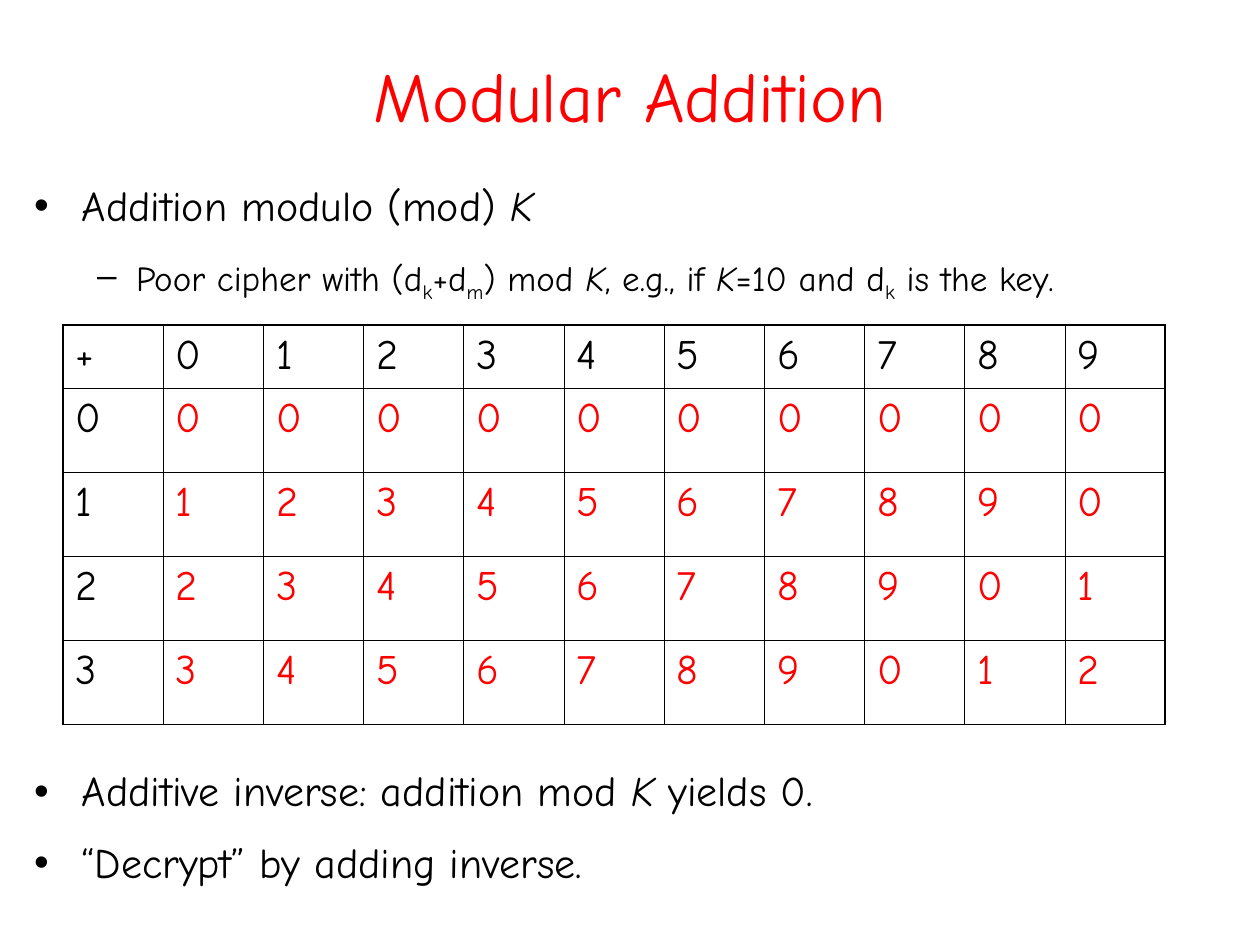
from lxml.etree import SubElement
from pptx import Presentation
from pptx.dml.color import RGBColor
from pptx.enum.text import MSO_AUTO_SIZE, MSO_ANCHOR, PP_ALIGN
from pptx.oxml.ns import qn
from pptx.util import Inches, Pt

BLACK = RGBColor(0, 0, 0)
RED = RGBColor(0xFF, 0, 0)
FONT = "Comic Neue"
MODULUS = 10
KEYS = range(4)
OUTER_LINE, INNER_LINE = Pt(1.08), Pt(0.45)
TABLE_GAP = 266  # points kept free for the table between the bullets
INDENTS = {0: (0.38, -0.38), 1: (0.81, -0.31)}
SIZES = {0: 24, 1: 20}

ITALIC = {"italic": True}
SUB = {"subscript": True}
INTRO = [("Addition modulo (mod) ", {}), ("K", ITALIC)]
CIPHER = [
    ("Poor cipher with (d", {}), ("k", SUB), ("+d", {}), ("m", SUB),
    (") mod ", {}), ("K", ITALIC), (", e.g., if ", {}), ("K", ITALIC),
    ("=10 and d", {}), ("k", SUB), (" is the key.", {}),
]
INVERSE = [("Additive inverse: addition mod ", {}), ("K", ITALIC), (" yields 0.", {})]
DECRYPT = [("“Decrypt” by adding inverse.", {})]


def write(paragraph, text, size=24, color=BLACK, italic=False, subscript=False):
    run = paragraph.add_run()
    run.text = text
    run.font.name = FONT
    run.font.size = Pt(size)
    run.font.color.rgb = color
    run.font.italic = italic
    if subscript:
        run.font._element.set("baseline", "-25000")


def space(paragraph, before=12, after=3):
    paragraph.space_before = Pt(before)
    paragraph.space_after = Pt(after)


def place(shape, left, top, width, height):
    shape.left, shape.top = Inches(left), Inches(top)
    shape.width, shape.height = Inches(width), Inches(height)


def add_title(slide, text):
    title = slide.shapes.title
    place(title, 0.5, 0.25, 9, 1)
    title.text_frame.auto_size = MSO_AUTO_SIZE.NONE
    title.text_frame.vertical_anchor = MSO_ANCHOR.MIDDLE
    heading = title.text_frame.paragraphs[0]
    heading.alignment = PP_ALIGN.CENTER
    space(heading)
    write(heading, text, size=40, color=RED)


def add_bullet(paragraph, pieces, level=0, before=12):
    paragraph.level = level
    paragraph.line_spacing = 0.9
    space(paragraph, before)
    margin, hanging = INDENTS[level]
    properties = paragraph._p.get_or_add_pPr()
    properties.set("marL", str(Inches(margin)))
    properties.set("indent", str(Inches(hanging)))
    for text, style in pieces:
        write(paragraph, text, size=SIZES[level], **style)


def add_bullets(slide):
    body = slide.placeholders[1]
    place(body, 0.17, 1.42, 9.83, 5.83)
    frame = body.text_frame
    frame.auto_size = MSO_AUTO_SIZE.NONE
    add_bullet(frame.paragraphs[0], INTRO)
    add_bullet(frame.add_paragraph(), CIPHER, level=1)
    add_bullet(frame.add_paragraph(), INVERSE, before=TABLE_GAP)
    add_bullet(frame.add_paragraph(), DECRYPT)


def add_border(cell, side, width):
    line = SubElement(cell._tc.get_or_add_tcPr(), qn(f"a:ln{side}"), w=str(width))
    fill = SubElement(line, qn("a:solidFill"))
    SubElement(fill, qn("a:srgbClr"), val=str(BLACK))


def addition_rows():
    """Header row, then each key with its sums; key 0 shows zeros throughout."""
    digits = range(MODULUS)
    sums = [[key] + [(key + digit) % MODULUS if key else 0 for digit in digits]
            for key in KEYS]
    return [["+", *digits], *sums]


def add_addition_table(slide):
    rows = addition_rows()
    last_row, last_column = len(rows) - 1, MODULUS
    width, height, header_height = Inches(8.75), Inches(3.17), Inches(0.5)
    table = slide.shapes.add_table(
        len(rows), MODULUS + 1, Inches(0.5), Inches(2.58), width, height).table
    table.first_row = table.horz_banding = False
    for column in table.columns:
        column.width = width // (MODULUS + 1)
    for row in table.rows:
        row.height = (height - header_height) // last_row
    table.rows[0].height = header_height

    for r, values in enumerate(rows):
        for c, value in enumerate(values):
            cell = table.cell(r, c)
            paragraph = cell.text_frame.paragraphs[0]
            space(paragraph)
            write(paragraph, str(value), color=RED if r and c else BLACK)
            edges = {"L": c == 0, "R": c == last_column,
                     "T": r == 0, "B": r == last_row}
            for side, is_outer in edges.items():
                add_border(cell, side, OUTER_LINE if is_outer else INNER_LINE)
            cell.fill.background()


def main():
    deck = Presentation()
    deck.slide_width, deck.slide_height = Inches(10), Inches(7.5)
    slide = deck.slides.add_slide(deck.slide_layouts[1])
    add_title(slide, "Modular Addition")
    add_bullets(slide)
    add_addition_table(slide)
    deck.save("out.pptx")


if __name__ == "__main__":
    main()
